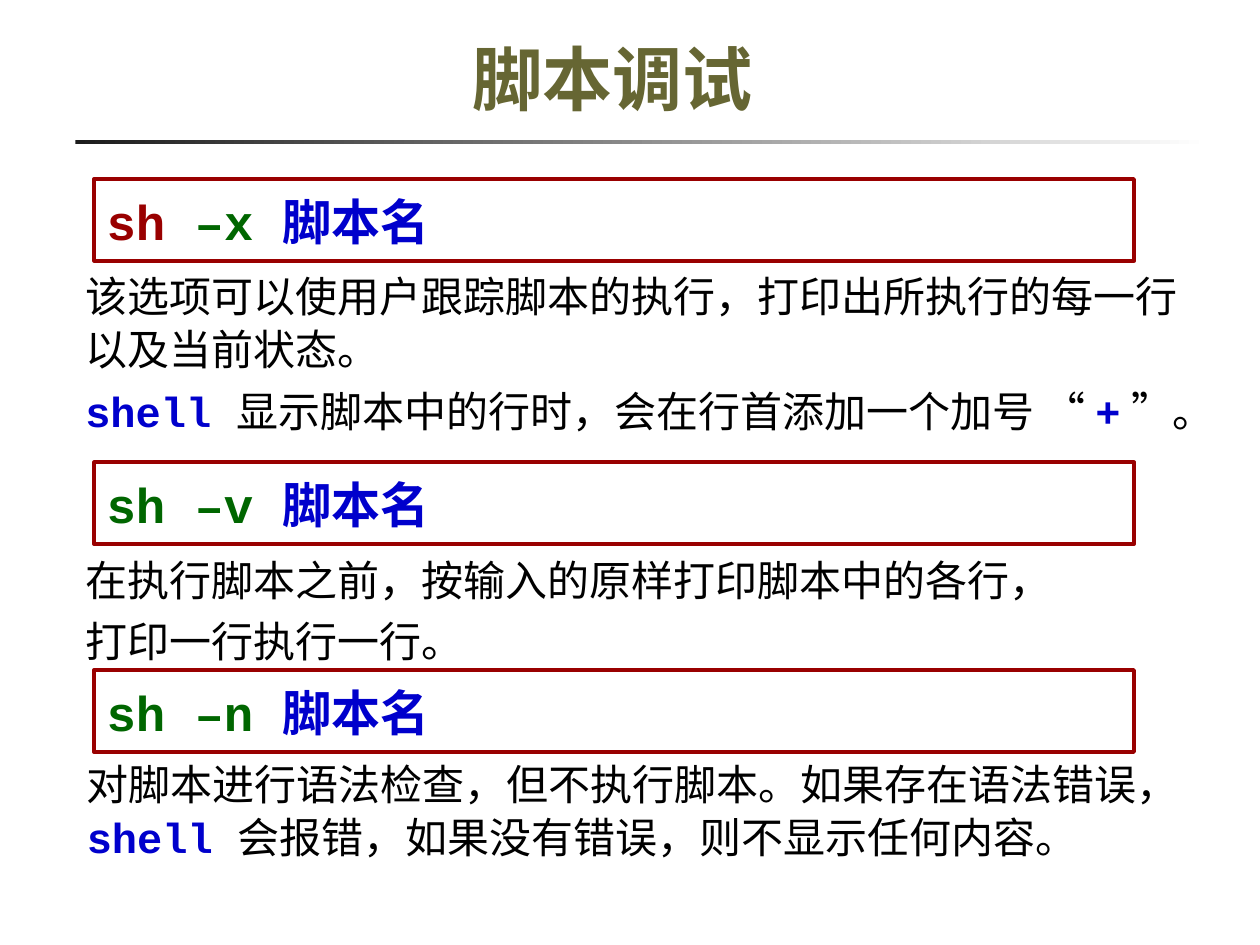
"""Build the slide on shell script debugging options."""
from dataclasses import dataclass

from pptx import Presentation
from pptx.dml.color import RGBColor
from pptx.enum.shapes import MSO_SHAPE
from pptx.enum.text import MSO_ANCHOR, MSO_AUTO_SIZE, PP_ALIGN
from pptx.util import Cm, Pt

RECT = MSO_SHAPE.RECTANGLE
TOP, BOTTOM = MSO_ANCHOR.TOP, MSO_ANCHOR.BOTTOM
GROW, FIXED = MSO_AUTO_SIZE.SHAPE_TO_FIT_TEXT, MSO_AUTO_SIZE.NONE
LEFT, CENTER = PP_ALIGN.LEFT, PP_ALIGN.CENTER
CODE, SERIF = "Courier New", "Times New Roman"
RED, GREEN, BLUE, BLACK, OLIVE = "990000", "006600", "0000CC", "000000", "666633"


@dataclass
class Span:
    text: str
    font: str = SERIF
    color: str = BLACK
    bold: bool = False


@dataclass
class Option:
    command: list[Span]
    command_top: float
    body: list[list[Span]]
    body_left: float
    body_top: float
    body_height: float


def rgb(value: str) -> RGBColor:
    return RGBColor.from_string(value)


def code(text: str, color: str = BLUE) -> Span:
    return Span(text, CODE, color, True)


def write(tf, paragraphs: list[list[Span]], size: float, spacing: float,
          align=LEFT, anchor=TOP, auto_size=GROW) -> None:
    tf.word_wrap = True
    tf.auto_size = auto_size
    tf.vertical_anchor = anchor
    for i, spans in enumerate(paragraphs):
        p = tf.add_paragraph() if i else tf.paragraphs[0]
        p.alignment = align
        p.line_spacing = spacing
        p.space_before = Pt(5 if i else 0)
        p.font.size = Pt(size)
        for span in spans:
            r = p.add_run()
            r.text = span.text
            r.font.name = span.font
            r.font.bold = span.bold
            r.font.color.rgb = rgb(span.color)


def add_rule(s) -> None:
    sp = s.shapes.add_shape(RECT, Cm(1.52), Cm(2.82), Cm(22.86), Cm(0.08))
    sp.shadow.inherit = False
    sp.line.fill.background()
    sp.fill.gradient()
    sp.fill.gradient_angle = 0
    for stop, color, position in zip(sp.fill.gradient_stops, ("1C1C1C", "FFFFFF"), (0, 1)):
        stop.color.rgb = rgb(color)
        stop.position = position


def add_option(s, option: Option) -> None:
    sp = s.shapes.add_shape(RECT, Cm(1.9), Cm(option.command_top), Cm(20.96), Cm(1.65))
    sp.shadow.inherit = False
    sp.fill.background()
    sp.line.color.rgb = rgb(RED)
    sp.line.width = Pt(2.25)
    write(sp.text_frame, [option.command], 28, 1.1)

    body = s.shapes.add_textbox(Cm(option.body_left), Cm(option.body_top),
                                Cm(23.29), Cm(option.body_height))
    write(body.text_frame, option.body, 24, 1.05)


SCRIPT_NAME = code("脚本名")
OPTIONS = [
    Option([code("sh ", RED), code("–x ", GREEN), SCRIPT_NAME], 3.61, [
        [Span("该选项可以使用户跟踪脚本的执行，打印出所执行的每一行以及当前状态。")],
        [code("shell "), Span("显示脚本中的行时，会在行首添加一个加号 “ "),
         code("+"), Span(" ”。")],
    ], 1.47, 5.28, 3.66),
    Option([code("sh –v ", GREEN), SCRIPT_NAME], 9.32, [
        [Span("在执行脚本之前，按输入的原样打印脚本中的各行，")],
        [Span("打印一行执行一行。")],
    ], 1.47, 11, 2.59),
    Option([code("sh –n ", GREEN), SCRIPT_NAME], 13.51, [
        [Span("对脚本进行语法检查，但不执行脚本。如果存在语法错误，"),
         code("shell "), Span("会报错，如果没有错误，则不显示任何内容。")],
    ], 1.5, 15.11, 2.39),
]


def main() -> None:
    prs = Presentation()
    prs.slide_width, prs.slide_height = Cm(25.4), Cm(19.05)
    s = prs.slides.add_slide(prs.slide_layouts[6])
    add_rule(s)
    for option in OPTIONS:
        add_option(s, option)
    title = s.shapes.add_textbox(Cm(3.81), Cm(0.43), Cm(17.09), Cm(2.11))
    write(title.text_frame, [[Span("脚本调试", SERIF, OLIVE, True)]], 40, 1,
          CENTER, BOTTOM, FIXED)
    prs.save("out.pptx")


if __name__ == "__main__":
    main()
